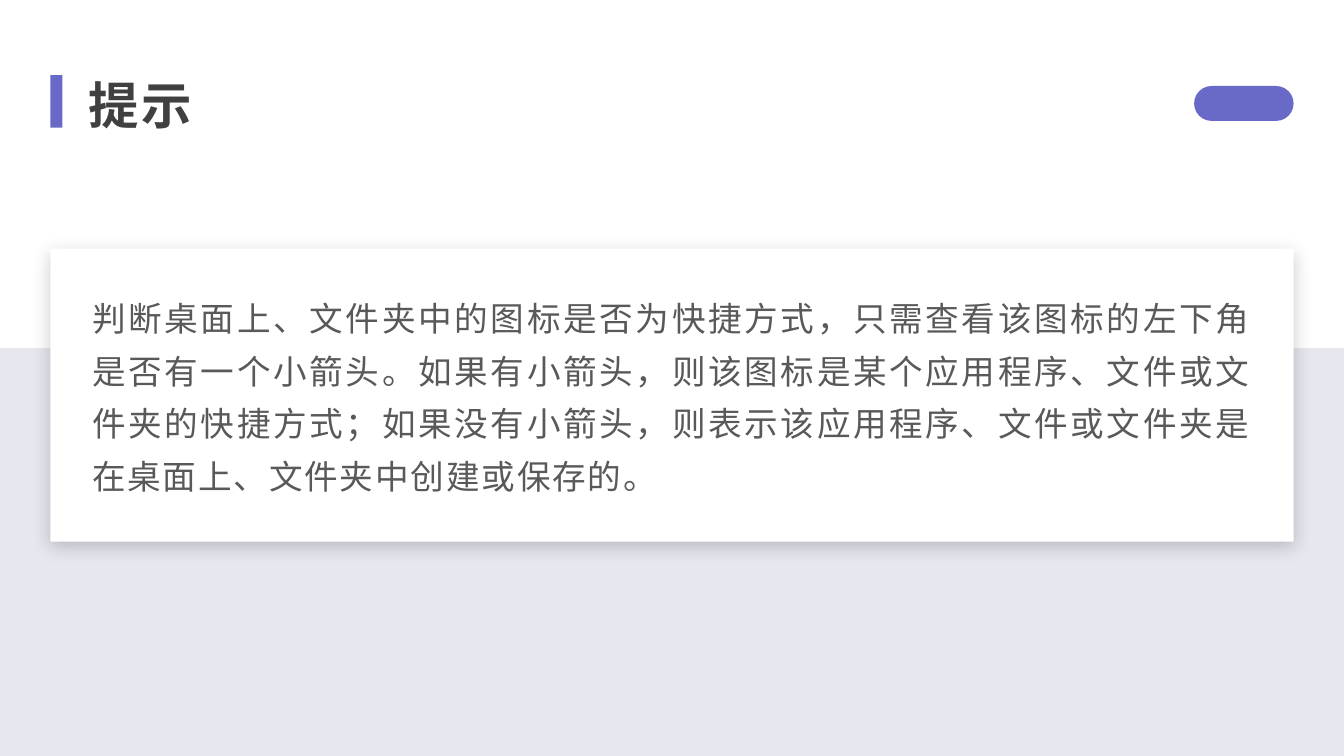
from pptx import Presentation
from pptx.dml.color import RGBColor
from pptx.enum.shapes import MSO_SHAPE as Shape
from pptx.enum.text import MSO_ANCHOR as Anchor, MSO_AUTO_SIZE as AutoSize, PP_ALIGN as Align
from pptx.oxml import parse_xml
from pptx.oxml.ns import nsdecls
from pptx.util import Inches, Pt

# Content
TITLE = "提示"
BODY = (
    "判断桌面上、文件夹中的图标是否为快捷方式，只需查看该图标的左下角是否有一个小箭头。"
    "如果有小箭头，则该图标是某个应用程序、文件或文件夹的快捷方式；"
    "如果没有小箭头，则表示该应用程序、文件或文件夹是在桌面上、文件夹中创建或保存的。"
)

THEME = {
    "font": "Noto Sans CJK SC",
    "accent": "6969C7", "band": "E7E7F0", "card": "FFFFFF",
    "title": "404040", "body": "595959",
    "title_size": 27, "body_size": 18,
}

# Layout in inches, on a 16:9 slide
WIDTH = 10
HEIGHT = WIDTH * 9 / 16
MARGIN = WIDTH * 3 / 80
PADDING = 0.25
BAND_TOP = 2.59
CARD = (MARGIN, 1.85, WIDTH - 2 * MARGIN, 2.18)
CARD_TEXT = (CARD[0] + PADDING, CARD[1] + PADDING,
             CARD[2] - 2 * PADDING, CARD[3] - 2 * PADDING)
PILL_WIDTH = 0.74

presentation = Presentation()
presentation.slide_width, presentation.slide_height = Inches(WIDTH), Inches(HEIGHT)
slide = presentation.slides.add_slide(presentation.slide_layouts[6])


def add_block(box, color, kind=Shape.RECTANGLE):
    shape = slide.shapes.add_shape(kind, *map(Inches, box))
    shape.shadow.inherit = False
    shape.fill.solid()
    shape.fill.fore_color.rgb = RGBColor.from_string(THEME[color])
    shape.line.fill.background()
    return shape


def add_text(box, text, role, spacing, bold=False):
    frame = slide.shapes.add_textbox(*map(Inches, box)).text_frame
    frame.word_wrap = True
    frame.vertical_anchor = Anchor.TOP
    paragraph = frame.paragraphs[0]
    run = paragraph.add_run()
    run.text = text
    font = paragraph.font
    font.name, font.size, font.bold = THEME["font"], Pt(THEME[role + "_size"]), bold
    font.color.rgb = RGBColor.from_string(THEME[role])
    # East Asian typeface and letter spacing
    properties = run._r.get_or_add_rPr()
    properties.set("lang", "zh-CN")
    properties.set("spc", str(int(spacing * 100)))
    properties.append(parse_xml(f'<a:ea {nsdecls("a")} typeface="{THEME["font"]}"/>'))
    return frame


# Lower background band
add_block((0, BAND_TOP, WIDTH, HEIGHT - BAND_TOP), "band")

# Card with a soft shadow
card = add_block(CARD, "card")
card._element.spPr.find("{*}effectLst").append(parse_xml(
    f'<a:outerShdw {nsdecls("a")} blurRad="{Pt(10)}" dist="{Pt(3)}" dir="5400000" algn="t" '
    'rotWithShape="0"><a:srgbClr val="000000"><a:alpha val="20000"/></a:srgbClr></a:outerShdw>'))

# Card text
body = add_text(CARD_TEXT, BODY, "body", 1)
body.margin_left = body.margin_right = Inches(0.06)
body.margin_top = body.margin_bottom = Inches(0.03)
body.auto_size = AutoSize.TEXT_TO_FIT_SHAPE
paragraph = body.paragraphs[0]
paragraph.alignment = Align.JUSTIFY
paragraph.line_spacing = 1.3
paragraph.space_after = Pt(8)

# Header: pill, accent bar and title
pill = add_block((WIDTH - MARGIN - PILL_WIDTH, 0.64, PILL_WIDTH, 0.26), "accent",
                 Shape.ROUNDED_RECTANGLE)
pill.adjustments[0] = 0.5
add_block((MARGIN, 0.56, 0.09, 0.39), "accent")
add_text((0.56, 0.5, 7.91, 0.53), TITLE, "title", 1.5, bold=True)

presentation.save("out.pptx")
